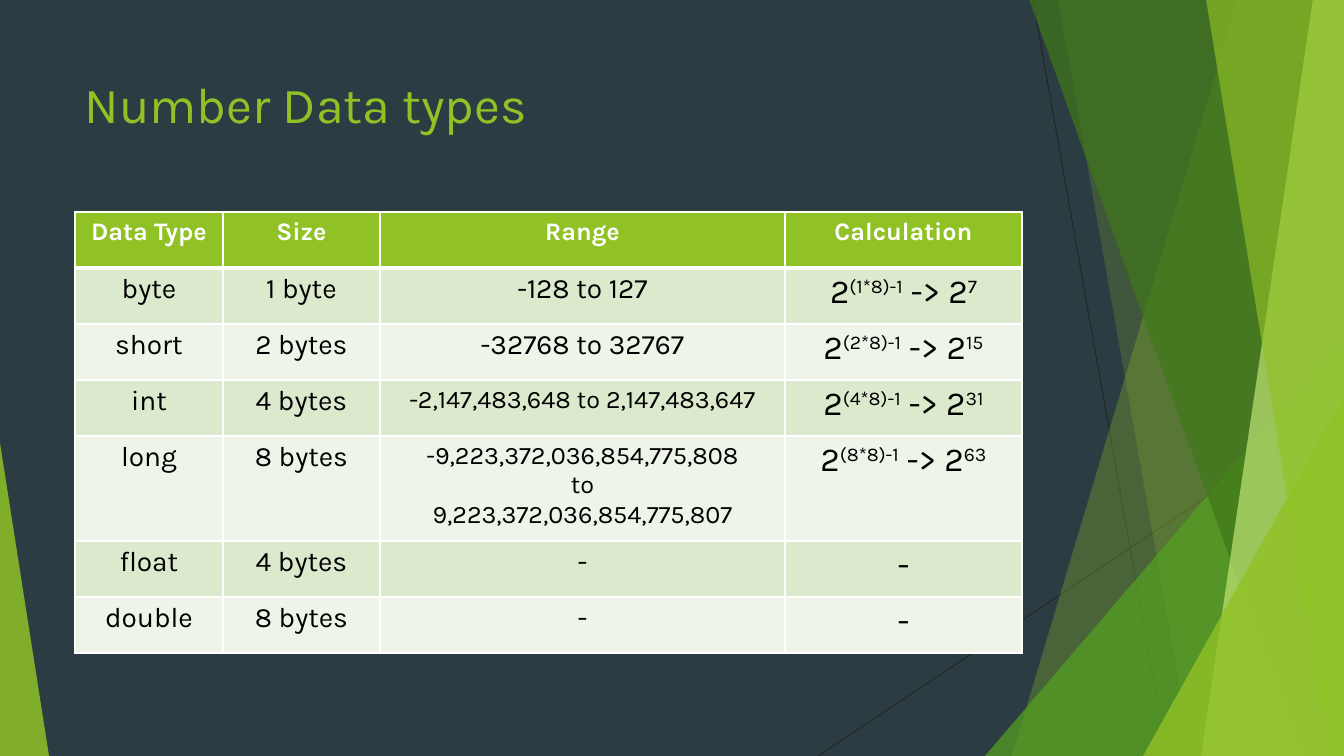
"""Builds the slide on number data types."""
import lxml.etree
import pptx
import pptx.dml.color
import pptx.enum.shapes
import pptx.enum.text
import pptx.oxml.ns
import pptx.util

WIDE, HIGH = 1344, 756
COLORS = {
    "back": "2C3C43", "thin": "262626", "lime": "90C226", "leaf": "54A021",
    "moss": "3F7819", "pale": "C0E474", "white": "FFFFFF", "black": "000000",
    "odd": "DBE9CD", "even": "EEF4E8",
}
qn = pptx.oxml.ns.qn


class Deck:
    """Holds the style and the current slide."""

    face = "Karla"
    scale = 12192000 / WIDE

    def __init__(self):
        self.file = pptx.Presentation()
        self.file.slide_width, self.file.slide_height = self.emu(WIDE, HIGH)
        self.slide = self.file.slides.add_slide(self.file.slide_layouts[6])
        self.shapes = self.slide.shapes
        self.paint(self.slide.background.fill, "back")

    def emu(self, *sizes):
        """Turn px into EMU."""
        return [pptx.util.Emu(round(size * self.scale)) for size in sizes]

    def color(self, name):
        """Look up a colour."""
        return pptx.dml.color.RGBColor.from_string(COLORS[name])

    def paint(self, fill, name):
        """Set a solid fill."""
        fill.solid()
        fill.fore_color.rgb = self.color(name)

    def style(self, font, size, name, bold=False):
        """Set the font of a paragraph."""
        font.name, font.size, font.bold = self.face, pptx.util.Pt(size), bold
        font.color.rgb = self.color(name)

    def line(self, start, end):
        """Draw a thin straight line."""
        kind = pptx.enum.shapes.MSO_CONNECTOR.STRAIGHT
        line = self.shapes.add_connector(kind, *self.emu(*start, *end))
        line.line.width = pptx.util.Pt(0.75)
        line.line.color.rgb = self.color("thin")
        lxml.etree.SubElement(line._element.spPr, qn("a:effectLst"))

    def glaze(self, shape, name, alpha):
        """Fill a shape with a see-through colour."""
        shape.shadow.inherit = False
        self.paint(shape.fill, name)
        shape.line.fill.background()
        tint = next(shape._element.spPr.iter(qn("a:srgbClr")))
        lxml.etree.SubElement(tint, qn("a:alpha"), val=str(alpha * 1000))

    def band(self, top, foot, name, alpha):
        """Draw a slanted band that reaches the right edge."""
        points = [(top, -1), (WIDE, -1), (WIDE, HIGH), (foot, HIGH)]
        first, *rest = [self.emu(*point) for point in points]
        form = self.shapes.build_freeform(*first)
        form.add_line_segments(rest, close=True)
        self.glaze(form.convert_to_shape(), name, alpha)

    def wedge(self, left, top, width, peak, name, alpha):
        """Draw a triangle that stands on the bottom edge."""
        kind = pptx.enum.shapes.MSO_SHAPE.ISOSCELES_TRIANGLE
        box = self.emu(left, top, width, HIGH - top)
        shape = self.shapes.add_shape(kind, *box)
        shape.adjustments[0] = peak
        self.glaze(shape, name, alpha)

    def title(self, text, *box):
        """Write the title."""
        frame = self.shapes.add_textbox(*self.emu(*box)).text_frame
        frame.word_wrap = True
        frame.paragraphs[0].text = text
        self.style(frame.paragraphs[0].font, 36, "lime")

    def border(self, cell, widths):
        """Draw the white borders of a cell."""
        props = cell._tc.get_or_add_tcPr()
        for side, width in zip("LRTB", widths):
            edge = lxml.etree.SubElement(
                props, qn("a:ln" + side), w=str(pptx.util.Pt(width)))
            fill = lxml.etree.SubElement(edge, qn("a:solidFill"))
            lxml.etree.SubElement(
                fill, qn("a:srgbClr"), val=COLORS["white"])

    def cell(self, cell, text, size, row):
        """Fill one cell; text between carets is raised."""
        head = row == 0
        self.border(cell, (1, 1, 3 if row == 1 else 1, 3 if head else 1))
        self.paint(cell.fill, "lime" if head else "odd" if row % 2 else "even")
        frame = cell.text_frame
        for index, part in enumerate(text.split("\n")):
            para = frame.add_paragraph() if index else frame.paragraphs[0]
            para.alignment = pptx.enum.text.PP_ALIGN.CENTER
            self.style(para.font, size, "white" if head else "black", head)
            for turn, piece in enumerate(part.split("^")):
                if piece:
                    run = para.add_run()
                    run.text = piece
                    if turn % 2:
                        run._r.get_or_add_rPr().set("baseline", "30000")

    def table(self, left, top, cols, rows, data):
        """Draw the table of types."""
        box = self.emu(left, top, sum(cols), sum(rows))
        grid = self.shapes.add_table(len(rows), len(cols), *box).table
        for col, width in zip(grid.columns, self.emu(*cols)):
            col.width = width
        for row, height in zip(grid.rows, self.emu(*rows)):
            row.height = height
        for row, texts in enumerate(data):
            for col, text in enumerate(texts):
                size = 24 if col == 3 else 18 if "," in text else 20
                self.cell(grid.cell(row, col), text, size if row else 18, row)


def power(size, bits):
    """Write the sum for a whole number type."""
    return f"2^({size}*8)-1^ -> 2^{bits}^"


def main():
    """Build and save the slide."""
    deck = Deck()
    deck.line((1033, 0), (1167, HIGH))
    deck.line((WIDE, 406), (818, HIGH))
    deck.band(1238, 1012, "lime", 30)
    deck.band(1058, 1192, "lime", 20)
    deck.wedge(985, 336, 359, 1, "leaf", 72)
    deck.band(1029, 1301, "moss", 70)
    deck.band(1313, 1201, "pale", 70)
    deck.band(1206, 1329, "lime", 65)
    deck.wedge(1143, 396, 201, 1, "lime", 80)
    deck.wedge(0, 443, 49, 0, "lime", 85)
    deck.title("Number Data types", 75, 68, 947, 145)
    data = [
        ("Data Type", "Size", "Range", "Calculation"),
        ("byte", "1 byte", "-128 to 127", power(1, 7)),
        ("short", "2 bytes", "-32768 to 32767", power(2, 15)),
        ("int", "4 bytes", "-2,147,483,648 to 2,147,483,647", power(4, 31)),
        ("long", "8 bytes",
         "-9,223,372,036,854,775,808\nto\n9,223,372,036,854,775,807",
         power(8, 63)),
        ("float", "4 bytes", "-", "-"),
        ("double", "8 bytes", "-", "-"),
    ]
    rows = [105 if name == "long" else 56 for name, *_ in data]
    deck.table(75, 212, (148, 157, 405, 237), rows, data)
    deck.file.save("out.pptx")


if __name__ == "__main__":
    main()
